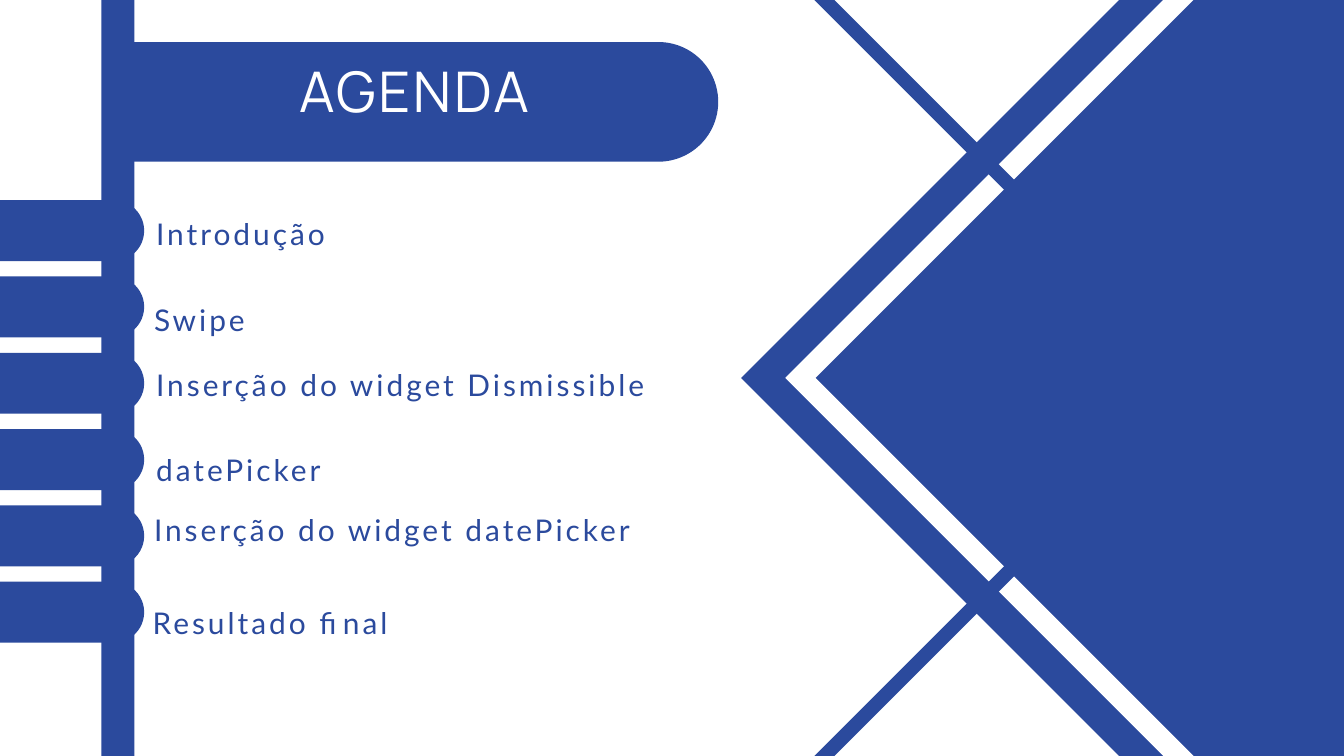
import pptx
import pptx.util
from pptx.dml.color import RGBColor
from pptx.enum.shapes import MSO_SHAPE
from pptx.enum.text import MSO_ANCHOR, MSO_AUTO_SIZE, PP_ALIGN
from pptx.oxml import parse_xml
from pptx.oxml.ns import nsdecls

EMU_PER_PX = 9525
BLUE, WHITE = "2B4A9D", "FFFFFF"

TITLE = dict(font="Manrope", size=60, color=WHITE, spacing=3, line=63,
             align=PP_ALIGN.CENTER)
ITEM = dict(font="Lato", size=32, color=BLUE, spacing=3.2, line=44.8,
            align=PP_ALIGN.LEFT)

# Agenda entries: text, left indent in px, space before in points
AGENDA = [
    ("Introdução", 5, 0),
    ("Swipe", 2, 47.5),
    ("Inserção do widget Dismissible", 5, 25.5),
    ("datePicker", 5, 46),
    ("Inserção do widget datePicker", 2, 19),
    ("Resultado final", 0, 55.5),
]


def px(n):
    return pptx.util.Emu(round(n * EMU_PER_PX))


def rgb(color):
    return RGBColor.from_string(color)


def add_block(s, kind, x, y, w, h, color=BLUE, rotation=0, adjust=()):
    """Add a filled preset shape without outline or shadow."""
    sp = s.shapes.add_shape(kind, px(x), px(y), px(w), px(h))
    sp.shadow.inherit = False
    sp.fill.solid()
    sp.fill.fore_color.rgb = rgb(color)
    sp.line.fill.background()
    sp.rotation = rotation
    for i, value in enumerate(adjust):
        sp.adjustments[i] = value
    return sp


def add_tab(s, x, y, w, h):
    """Add a bar with a square left end and a round right end."""
    add_block(s, MSO_SHAPE.ROUND_2_SAME_RECTANGLE, x + (w - h) / 2,
              y + (h - w) / 2, h, w, rotation=270, adjust=(0, 0.5))


def add_diamond(s, kind, cx, cy, side, color=BLUE, adjust=()):
    """Add a square turned onto its corner, placed by its centre."""
    add_block(s, kind, cx - side / 2, cy - side / 2, side, side, color,
              rotation=45, adjust=adjust)


def place_placeholder(s, sp, x, y, w, h):
    """Move a placeholder, clear its margins and bring it to the front."""
    bounds = dict(left=px(x), top=px(y), width=px(w), height=px(h))
    for name, value in bounds.items():
        setattr(sp, name, value)
    tf = sp.text_frame
    frame = dict(margin_left=0, margin_top=0, margin_right=0, margin_bottom=0,
                 word_wrap=True, auto_size=MSO_AUTO_SIZE.NONE,
                 vertical_anchor=MSO_ANCHOR.TOP)
    for name, value in frame.items():
        setattr(tf, name, value)
    s.shapes._spTree.append(sp._element)
    return tf


def write_paragraph(p, text, style, indent=0, before=0):
    layout = dict(alignment=style["align"], space_after=pptx.util.Pt(0),
                  space_before=pptx.util.Pt(before),
                  line_spacing=pptx.util.Pt(style["line"]))
    for name, value in layout.items():
        setattr(p, name, value)
    pPr = p._p.get_or_add_pPr()
    pPr.set("marL", str(px(indent)))
    pPr.set("indent", "0")
    pPr.append(parse_xml(f"<a:buNone {nsdecls('a')}/>"))
    r = p.add_run()
    r.text = text
    r.font.name = style["font"]
    r.font.size = pptx.util.Pt(style["size"])
    r.font.color.rgb = rgb(style["color"])
    r._r.get_or_add_rPr().set("spc", str(round(style["spacing"] * 100)))


def main():
    prs = pptx.Presentation()
    prs.slide_width, prs.slide_height = px(1920), px(1080)
    s = prs.slides.add_slide(prs.slide_layouts[1])

    # Vertical spine
    add_block(s, MSO_SHAPE.RECTANGLE, 145, 0, 47, 1080)

    # Diamonds on the right: solid, white frame, two thin frames
    add_diamond(s, MSO_SHAPE.RECTANGLE, 1814, 540, 1068)
    add_diamond(s, MSO_SHAPE.FRAME, 1819, 540, 986, WHITE, (0.031,))
    for cy in (1168, -88):
        add_diamond(s, MSO_SHAPE.FRAME, 1533, cy, 647, adjust=(0.031,))

    # Title tab and one tab per agenda entry
    add_tab(s, 191, 60, 835, 171)
    for i in range(len(AGENDA)):
        add_tab(s, 0, 286 + 109 * i, 206, 87)

    # Title
    tf = place_placeholder(s, s.shapes.title, 223, 92, 737, 94)
    write_paragraph(tf.paragraphs[0], "AGENDA", TITLE)

    # Agenda list
    tf = place_placeholder(s, s.placeholders[1], 218, 299, 852, 612)
    for i, (text, indent, before) in enumerate(AGENDA):
        p = tf.add_paragraph() if i else tf.paragraphs[0]
        write_paragraph(p, text, ITEM, indent, before)

    prs.save("out.pptx")


if __name__ == "__main__":
    main()
